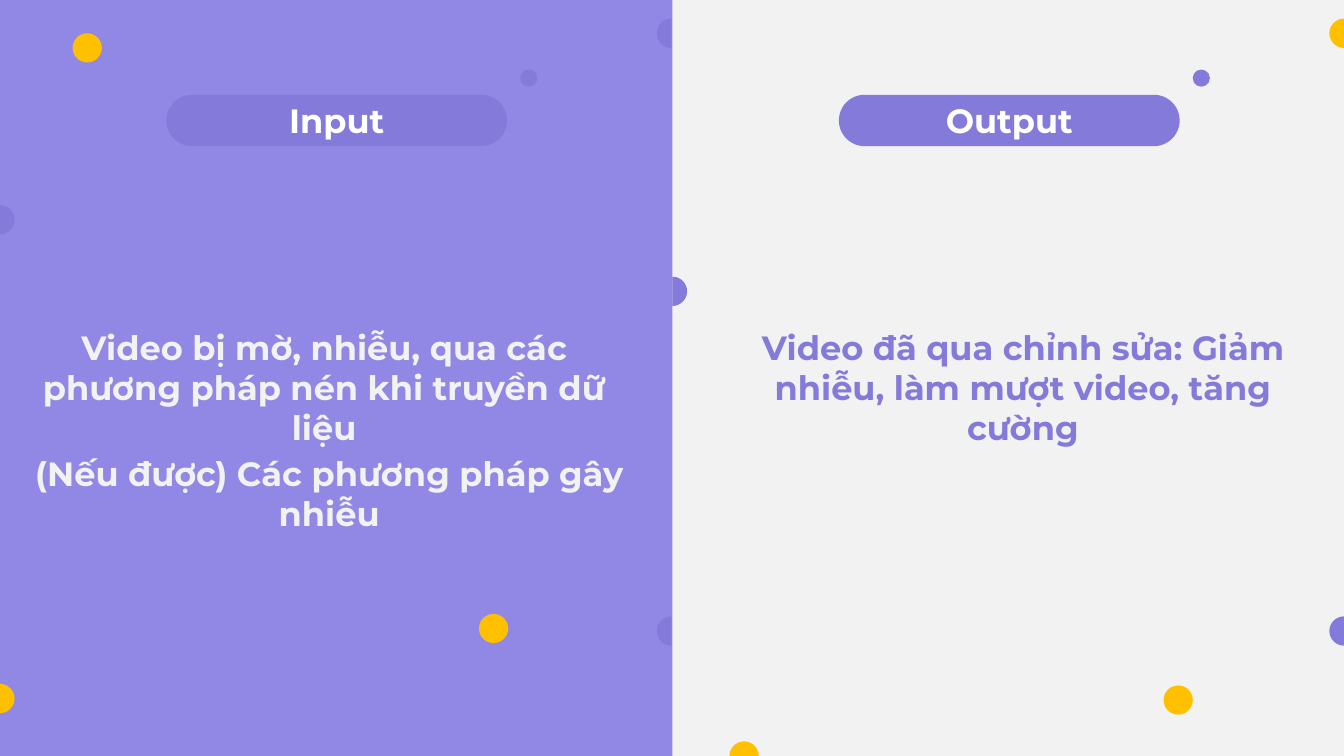
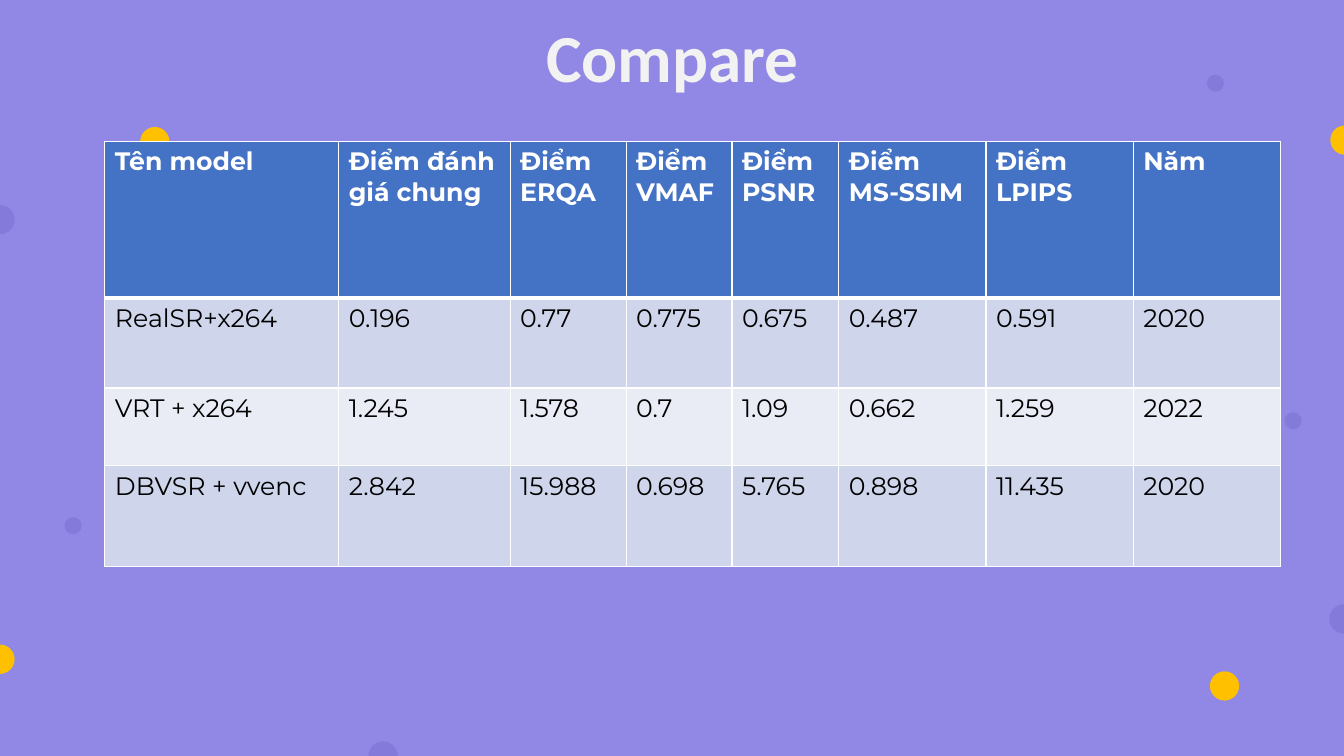
from lxml.etree import SubElement
from pptx import Presentation
from pptx.dml.color import RGBColor
from pptx.enum.shapes import MSO_SHAPE
from pptx.enum.text import MSO_ANCHOR, PP_ALIGN
from pptx.oxml.ns import qn
from pptx.util import Inches, Pt

LILAC = RGBColor(0x91, 0x88, 0xE5)
PURPLE = RGBColor(0x83, 0x7A, 0xD9)
AMBER = RGBColor(0xFF, 0xC0, 0x00)
PALE = RGBColor(0xF2, 0xF2, 0xF2)
WHITE = RGBColor(0xFF, 0xFF, 0xFF)
BLACK = RGBColor(0x00, 0x00, 0x00)
HEADER = RGBColor(0x44, 0x72, 0xC4)
BANDS = (RGBColor(0xCF, 0xD5, 0xEA), RGBColor(0xE9, 0xEB, 0xF5))

FONT = "Montserrat"
TITLE_FONT = "Calibri"
WIDTH, HEIGHT, HALF = 13.33, 7.5, 6.67
BIG, SMALL = 0.29, 0.17
BULGE = {"left": (1, 0), "right": (-1, 0), "bottom": (0, -1)}
CURVE = 0.55

COL_WIDTHS = (2.32, 1.7, 1.15, 1.05, 1.06, 1.46, 1.46, 1.46)
ROW_HEIGHTS = (1.56, 0.89, 0.77, 1)
ROWS = (
    ("Tên model", "Điểm đánh giá chung", "Điểm ERQA", "Điểm VMAF",
     "Điểm PSNR", "Điểm MS-SSIM", "Điểm LPIPS", "Năm"),
    ("RealSR+x264", "0.196", "0.77", "0.775", "0.675", "0.487", "0.591", "2020"),
    ("VRT + x264", "1.245", "1.578", "0.7", "1.09", "0.662", "1.259", "2022"),
    ("DBVSR + vvenc", "2.842", "15.988", "0.698", "5.765", "0.898", "11.435", "2020"),
)


def add_slide(prs, color):
    """Add a blank slide with a plain background."""
    s = prs.slides.add_slide(prs.slide_layouts[6])
    s.background.fill.solid()
    s.background.fill.fore_color.rgb = color
    return s


def paint(sp, color):
    """Give a shape a flat fill without line or shadow."""
    sp.shadow.inherit = False
    sp.fill.solid()
    sp.fill.fore_color.rgb = color
    sp.line.fill.background()


def add_block(s, kind, x, y, w, h, color):
    """Add a flat preset shape."""
    sp = s.shapes.add_shape(kind, Inches(x), Inches(y), Inches(w), Inches(h))
    paint(sp, color)
    return sp


def add_dot(s, x, y, size, color):
    """Add a round dot."""
    add_block(s, MSO_SHAPE.OVAL, x, y, size, size, color)


def add_half_dot(s, edge, cx, cy, color):
    """Add a half dot whose flat side lies on the given edge."""
    dx, dy = BULGE[edge]

    def point(out, along):
        """Return the point at these offsets, counted in radii."""
        return (Inches(cx + BIG / 2 * (out * dx - along * dy)),
                Inches(cy + BIG / 2 * (out * dy + along * dx)))

    builder = s.shapes.build_freeform(*point(0, -1))
    builder.add_line_segments([point(0, 1), point(1, 0), point(0, -1)], close=True)
    sp = builder.convert_to_shape()
    paint(sp, color)
    controls = ((point(CURVE, 1), point(1, CURVE)),
                (point(1, -CURVE), point(CURVE, -1)))
    lines = list(sp._element.iter(qn("a:lnTo")))[1:]
    for line, pair in zip(lines, controls):
        curve = line.makeelement(qn("a:cubicBezTo"))
        for x, y in pair:
            SubElement(curve, qn("a:pt"), x=str(x - sp.left), y=str(y - sp.top))
        curve.append(line[0])
        line.getparent().replace(line, curve)


def write(tf, text, size, color, bold=True, font=FONT, align=PP_ALIGN.CENTER):
    """Write one run of text into a text frame."""
    tf.word_wrap = True
    p = tf.paragraphs[0]
    p.alignment = align
    r = p.add_run()
    r.text = text
    r.font.size = Pt(size)
    r.font.name = font
    r.font.bold = bold
    r.font.color.rgb = color


def add_text(s, text, x, y, w, h, size=24, color=PALE, font=FONT):
    """Add a centred bold text box."""
    sp = s.shapes.add_textbox(Inches(x), Inches(y), Inches(w), Inches(h))
    write(sp.text_frame, text, size, color, font=font)


def add_half_panel(s, x, label, corner_color):
    """Add the label pill and the dots that both halves share."""
    pill = add_block(s, MSO_SHAPE.ROUNDED_RECTANGLE, x + 1.65, 0.94, 3.38, 0.51, PURPLE)
    pill.adjustments[0] = 0.5
    pill.text_frame.vertical_anchor = MSO_ANCHOR.MIDDLE
    write(pill.text_frame, label, 24, WHITE)
    add_dot(s, x + 5.16, 0.69, SMALL, PURPLE)
    add_half_dot(s, "right", x + 6.66, 0.33, corner_color)
    add_half_dot(s, "right", x + 6.66, 6.26, PURPLE)


def set_borders(cell, top, bottom):
    """Draw white borders round a cell, with the given top and bottom widths."""
    tc_pr = cell._tc.get_or_add_tcPr()
    for side, width in (("L", 1), ("R", 1), ("T", top), ("B", bottom)):
        ln = SubElement(tc_pr, qn(f"a:ln{side}"), w=str(Pt(width)))
        SubElement(SubElement(ln, qn("a:solidFill")), qn("a:srgbClr"), val=str(WHITE))


def add_score_table(s, x, y):
    """Add the table of model scores."""
    table = s.shapes.add_table(
        len(ROWS), len(COL_WIDTHS), Inches(x), Inches(y),
        Inches(sum(COL_WIDTHS)), Inches(sum(ROW_HEIGHTS))).table
    for col, width in zip(table.columns, COL_WIDTHS):
        col.width = Inches(width)
    for i, (values, height) in enumerate(zip(ROWS, ROW_HEIGHTS)):
        table.rows[i].height = Inches(height)
        head = i == 0
        for cell, value in zip(table.rows[i].cells, values):
            set_borders(cell, top=3 if i == 1 else 1, bottom=3 if head else 1)
            cell.fill.solid()
            cell.fill.fore_color.rgb = HEADER if head else BANDS[(i - 1) % 2]
            write(cell.text_frame, value, 18, WHITE if head else BLACK,
                  bold=head, align=PP_ALIGN.LEFT)


def build_input_output(prs):
    """Build the slide that sets input beside output."""
    s = add_slide(prs, PALE)
    add_block(s, MSO_SHAPE.RECTANGLE, 0, 0, HALF, HEIGHT, LILAC)
    add_half_panel(s, 0, "Input", PURPLE)
    add_half_panel(s, HALF, "Output", AMBER)
    for x, y in ((0.72, 0.33), (4.75, 6.09), (11.54, 6.8)):
        add_dot(s, x, y, BIG, AMBER)
    add_half_dot(s, "left", 0, 6.93, AMBER)
    add_half_dot(s, "left", 0, 2.18, PURPLE)
    add_half_dot(s, "left", HALF, 2.89, PURPLE)
    add_half_dot(s, "bottom", 7.38, HEIGHT, AMBER)
    add_text(s, "Video bị mờ, nhiễu, qua các phương pháp nén khi truyền dữ liệu",
             0.1, 3.19, 6.23, 1.31)
    add_text(s, "Video đã qua chỉnh sửa: Giảm nhiễu, làm mượt video, tăng cường",
             7.03, 3.19, 6.23, 1.31, color=PURPLE)
    add_text(s, "(Nếu được) Các phương pháp gây nhiễu", 0.15, 4.44, 6.23, 0.91)


def build_compare(prs):
    """Build the slide that compares the models."""
    s = add_slide(prs, LILAC)
    for x, y in ((0.64, 5.13), (12.74, 4.09), (11.97, 0.74)):
        add_dot(s, x, y, SMALL, PURPLE)
    for x, y in ((1.39, 1.26), (12, 6.66)):
        add_dot(s, x, y, BIG, AMBER)
    add_half_dot(s, "left", 0, 6.54, AMBER)
    add_half_dot(s, "left", 0, 2.18, PURPLE)
    add_half_dot(s, "right", WIDTH, 6.14, PURPLE)
    add_half_dot(s, "right", 13.34, 1.39, AMBER)
    add_half_dot(s, "bottom", 3.8, HEIGHT, PURPLE)
    add_text(s, "Compare", 0.84, 0.1, 11.66, 0.91, size=48, font=TITLE_FONT)
    add_score_table(s, 1.04, 1.4)


def main():
    """Build and save the presentation."""
    prs = Presentation()
    prs.slide_width = Inches(WIDTH)
    prs.slide_height = Inches(HEIGHT)
    build_input_output(prs)
    build_compare(prs)
    prs.save("out.pptx")


if __name__ == "__main__":
    main()
